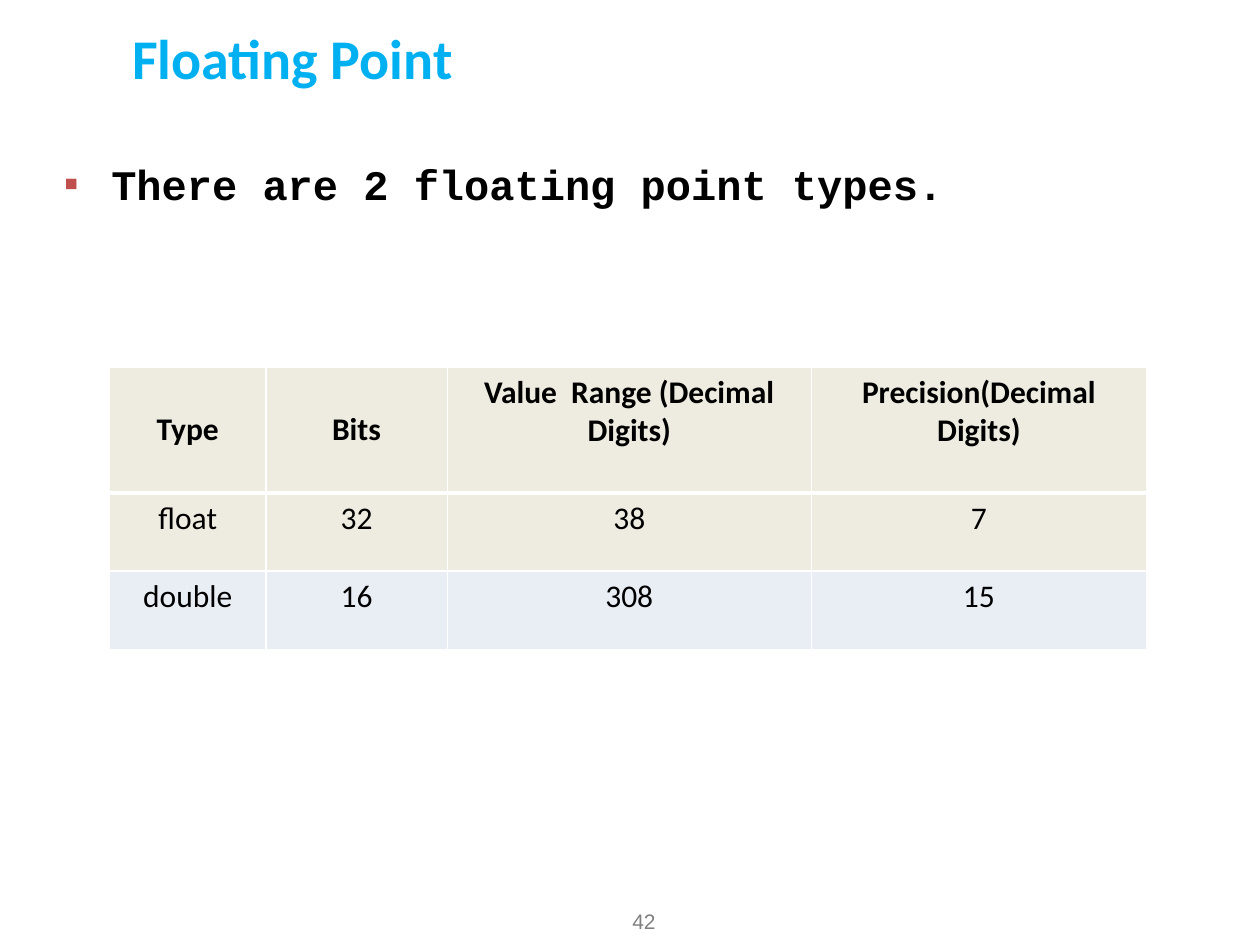
from lxml.etree import SubElement
from pptx import Presentation
from pptx.dml.color import RGBColor
from pptx.enum.text import MSO_ANCHOR as Anchor, PP_ALIGN as Align
from pptx.oxml.ns import qn
from pptx.util import Pt

BLACK = RGBColor(0x00, 0x00, 0x00)
GRAY = RGBColor(0x80, 0x80, 0x80)
WHITE = RGBColor(0xFF, 0xFF, 0xFF)
CYAN = RGBColor(0x00, 0xB0, 0xF0)
RED = RGBColor(0xC0, 0x50, 0x4D)
BEIGE = RGBColor(0xEE, 0xEC, 0xE1)
PALE_BLUE = RGBColor(0xE9, 0xED, 0xF4)

ROWS = [
    ("Type", "Bits", "Value  Range (Decimal Digits)", "Precision(Decimal Digits)"),
    ("float", "32", "38", "7"),
    ("double", "16", "308", "15"),
]
ROW_FILLS = [BEIGE, BEIGE, PALE_BLUE]
ROW_HEIGHTS = [72, 44.64, 44.64]
COLUMN_WIDTHS = [89.28, 103.68, 208.08, 191.52]


def write_text(frame, text, font="Calibri", size=18, color=BLACK, bold=False,
               align=Align.LEFT, line_spacing=None, bullet=None):
    """Write one formatted paragraph into a text frame."""
    paragraph = frame.paragraphs[0]
    paragraph.alignment = align
    if line_spacing:
        paragraph.line_spacing = line_spacing
    if bullet:
        add_bullet(paragraph, bullet)
    run = paragraph.add_run()
    run.text = text
    run.font.name = font
    run.font.size = Pt(size)
    run.font.bold = bold
    run.font.color.rgb = color


def add_bullet(paragraph, character, color=RED, indent=27):
    """Give a paragraph a coloured bullet with a hanging indent."""
    properties = paragraph._p.get_or_add_pPr()
    properties.set("marL", str(Pt(indent)))
    properties.set("indent", str(-Pt(indent)))
    bullet_color = SubElement(properties, qn("a:buClr"))
    SubElement(bullet_color, qn("a:srgbClr"), val=str(color))
    SubElement(properties, qn("a:buFont"), typeface="Arial")
    SubElement(properties, qn("a:buChar"), char=character)


def add_text(slide, text, left, top, width, height, margin_left=7.2,
             margin_top=3.6, anchor=Anchor.TOP, **text_format):
    """Add a wrapping text box."""
    box = slide.shapes.add_textbox(Pt(left), Pt(top), Pt(width), Pt(height))
    frame = box.text_frame
    frame.word_wrap = True
    frame.vertical_anchor = anchor
    frame.margin_left = Pt(margin_left)
    frame.margin_top = Pt(margin_top)
    write_text(frame, text, **text_format)


def set_borders(cell, top=1, bottom=1, color=WHITE):
    """Draw the four borders of a table cell."""
    properties = cell._tc.get_or_add_tcPr()
    widths = {"a:lnL": 1, "a:lnR": 1, "a:lnT": top, "a:lnB": bottom}
    for position, (tag, width) in enumerate(widths.items()):
        line = properties.makeelement(qn(tag), {"w": str(Pt(width))})
        fill = SubElement(line, qn("a:solidFill"))
        SubElement(fill, qn("a:srgbClr"), val=str(color))
        properties.insert(position, line)


def add_types_table(slide, left, top):
    """Add the table of floating point types."""
    table = slide.shapes.add_table(
        len(ROWS), len(COLUMN_WIDTHS), Pt(left), Pt(top),
        Pt(sum(COLUMN_WIDTHS)), Pt(sum(ROW_HEIGHTS))).table
    for column, width in zip(table.columns, COLUMN_WIDTHS):
        column.width = Pt(width)
    for row_index, texts in enumerate(ROWS):
        is_header = row_index == 0
        table.rows[row_index].height = Pt(ROW_HEIGHTS[row_index])
        for column_index, text in enumerate(texts):
            cell = table.cell(row_index, column_index)
            cell.fill.solid()
            cell.fill.fore_color.rgb = ROW_FILLS[row_index]
            is_centred = is_header and column_index < 2
            cell.vertical_anchor = Anchor.MIDDLE if is_centred else Anchor.TOP
            write_text(cell.text_frame, text, bold=is_header, align=Align.CENTER)
            set_borders(cell, top=3 if row_index == 1 else 1,
                        bottom=3 if is_header else 1)


def main():
    """Build and save the slide."""
    presentation = Presentation()
    presentation.slide_width = Pt(720)
    presentation.slide_height = Pt(540)
    slide = presentation.slides.add_slide(presentation.slide_layouts[6])
    add_text(slide, "Floating Point", 54, 23.76, 581, 23.76, margin_left=21.6,
             anchor=Anchor.MIDDLE, size=32, color=CYAN, bold=True,
             line_spacing=0.85)
    add_text(slide, "There are 2 floating point types.", 29.5, 82, 648, 360,
             margin_top=8.4, font="Courier New", size=24, bold=True, bullet="▪")
    add_text(slide, "42", 354.25, 515.5, 66.25, 23.76, font="Arial", size=12,
             color=GRAY)
    add_types_table(slide, 62.64, 209.75)
    presentation.save("out.pptx")


if __name__ == "__main__":
    main()
